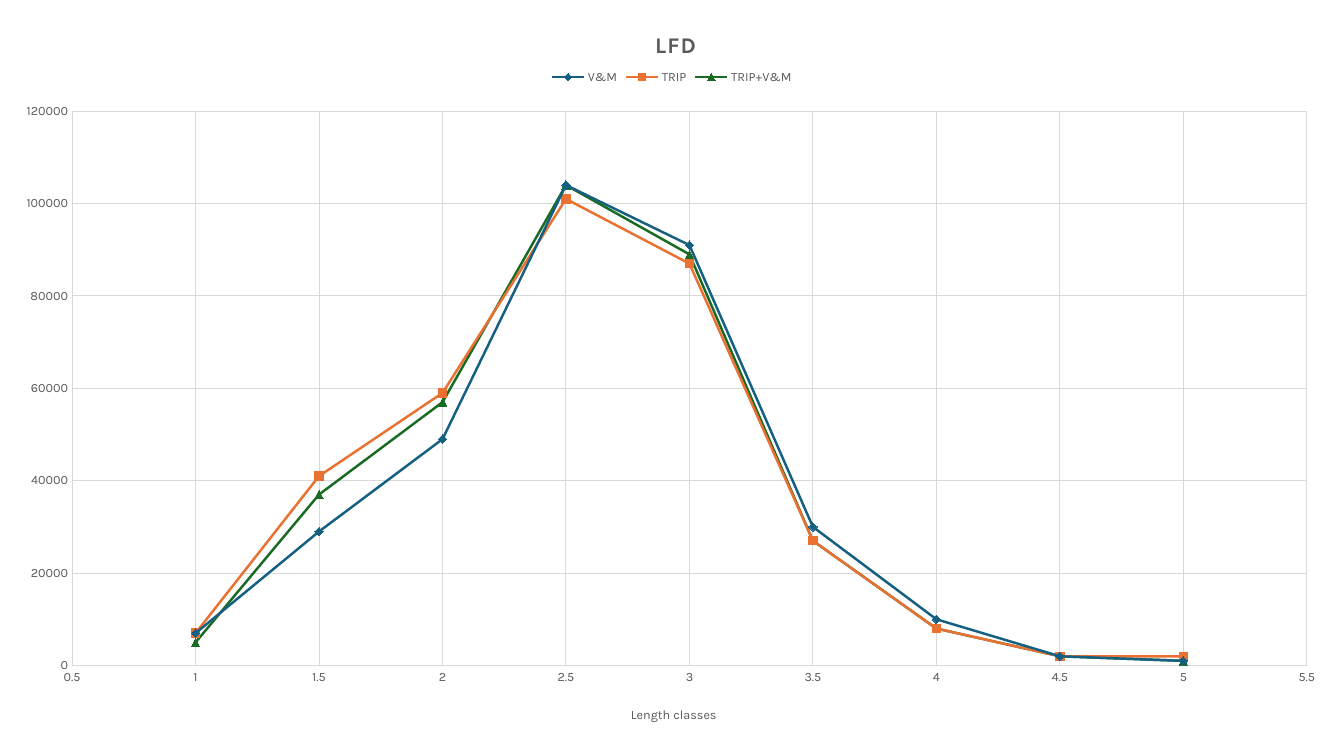
import pptx
import pptx.chart.data
import pptx.dml.color
import pptx.enum.chart
import pptx.oxml
import pptx.oxml.ns
import pptx.util

Pt = pptx.util.Pt
RGBColor = pptx.dml.color.RGBColor
MarkerStyle = pptx.enum.chart.XL_MARKER_STYLE

BLUE = RGBColor(0x15, 0x60, 0x82)
ORANGE = RGBColor(0xE9, 0x71, 0x32)
GREEN = RGBColor(0x19, 0x6B, 0x24)
GRAY_TEXT = RGBColor(0x59, 0x59, 0x59)
GRAY_LINE = RGBColor(0xD9, 0xD9, 0xD9)

SLIDE_WIDTH = 960
SLIDE_HEIGHT = 540

LENGTH_CLASSES = [1 + step / 2 for step in range(9)]
SERIES = [
    ("V&M", [7000, 29000, 49000, 104000, 91000, 30000, 10000, 2000, 1000],
     BLUE, MarkerStyle.DIAMOND),
    ("TRIP", [7000, 41000, 59000, 101000, 87000, 27000, 8000, 2000, 2000],
     ORANGE, MarkerStyle.SQUARE),
    ("TRIP+V&M", [5000, 37000, 57000, 104000, 89000, 27000, 8000, 2000, 1000],
     GREEN, MarkerStyle.TRIANGLE),
]


class ChartSlide:
    font_name = "Karla"
    label_size = 9
    title_size = 16

    def __init__(self, presentation):
        self.slide = presentation.slides.add_slide(presentation.slide_layouts[6])

    def style_font(self, font, size, bold=False):
        font.name = self.font_name
        font.size = Pt(size)
        font.bold = bold
        font.color.rgb = GRAY_TEXT

    def style_line(self, line, color, width):
        line.color.rgb = color
        line.width = Pt(width)

    def place(self, element, left, top, width=None, height=None, after=None, inner=False):
        for layout in element.findall(pptx.oxml.ns.qn("c:layout")):
            element.remove(layout)
        settings = [("layoutTarget", "inner")] if inner else []
        settings += [("xMode", "edge"), ("yMode", "edge"),
                     ("x", left / SLIDE_WIDTH), ("y", top / SLIDE_HEIGHT)]
        if width:
            settings += [("w", width / SLIDE_WIDTH), ("h", height / SLIDE_HEIGHT)]
        children = "".join(f'<c:{name} val="{value}"/>' for name, value in settings)
        layout = pptx.oxml.parse_xml(
            f'<c:layout {pptx.oxml.ns.nsdecls("c")}>'
            f"<c:manualLayout>{children}</c:manualLayout></c:layout>")
        if after:
            element.find(pptx.oxml.ns.qn(after)).addnext(layout)
        else:
            element.insert(0, layout)

    def add_scatter(self, series_list):
        data = pptx.chart.data.XyChartData()
        for name, values, color, marker_style in series_list:
            points = data.add_series(name)
            for length, value in zip(LENGTH_CLASSES, values):
                points.add_data_point(length, value)
        chart = self.slide.shapes.add_chart(
            pptx.enum.chart.XL_CHART_TYPE.XY_SCATTER_LINES,
            Pt(0), Pt(0), Pt(SLIDE_WIDTH), Pt(SLIDE_HEIGHT), data).chart
        self.style_font(chart.font, 10)
        chart.plots[0].vary_by_categories = False
        for series, (name, values, color, marker_style) in zip(chart.plots[0].series, series_list):
            series.smooth = False
            self.style_line(series.format.line, color, 1.75)
            series.marker.style = marker_style
            series.marker.size = 6
            series.marker.format.fill.solid()
            series.marker.format.fill.fore_color.rgb = color
            self.style_line(series.marker.format.line, color, 0.75)
        self.place(chart.plots[0]._element.getparent(), 51.5, 79.5, 882, 396, inner=True)
        return chart

    def add_title(self, title, text, size, left, top, bold=False, spacing=None):
        run = title.text_frame.paragraphs[0].add_run()
        run.text = text
        self.style_font(run.font, size, bold)
        if spacing:
            run.font._element.set("spc", str(spacing))
        self.place(title._element, left, top, after="c:tx")

    def add_legend(self, chart, left, top, width, height):
        chart.has_legend = True
        chart.legend.position = pptx.enum.chart.XL_LEGEND_POSITION.TOP
        chart.legend.include_in_layout = False
        self.style_font(chart.legend.font, self.label_size)
        self.place(chart.legend._element, left, top, width, height, after="c:legendPos")

    def format_axis(self, axis, minimum, maximum, step):
        axis.minimum_scale = minimum
        axis.maximum_scale = maximum
        axis.major_unit = step
        axis.has_major_gridlines = True
        axis.major_tick_mark = pptx.enum.chart.XL_TICK_MARK.NONE
        axis.minor_tick_mark = pptx.enum.chart.XL_TICK_MARK.NONE
        self.style_line(axis.format.line, GRAY_LINE, 0.75)
        self.style_line(axis.major_gridlines.format.line, GRAY_LINE, 0.75)
        self.style_font(axis.tick_labels.font, self.label_size)


def main():
    presentation = pptx.Presentation()
    presentation.slide_width = Pt(SLIDE_WIDTH)
    presentation.slide_height = Pt(SLIDE_HEIGHT)
    page = ChartSlide(presentation)
    chart = page.add_scatter(SERIES)
    chart.has_title = True
    page.add_title(chart.chart_title, "LFD", page.title_size, 465, 19, bold=True, spacing=100)
    page.add_legend(chart, 391, 47, 178, 16)
    page.format_axis(chart.category_axis, 0.5, 5.5, 0.5)
    page.format_axis(chart.value_axis, 0, 120000, 20000)
    page.add_title(chart.category_axis.axis_title, "Length classes", page.label_size, 449, 503)
    presentation.save("out.pptx")


if __name__ == "__main__":
    main()
